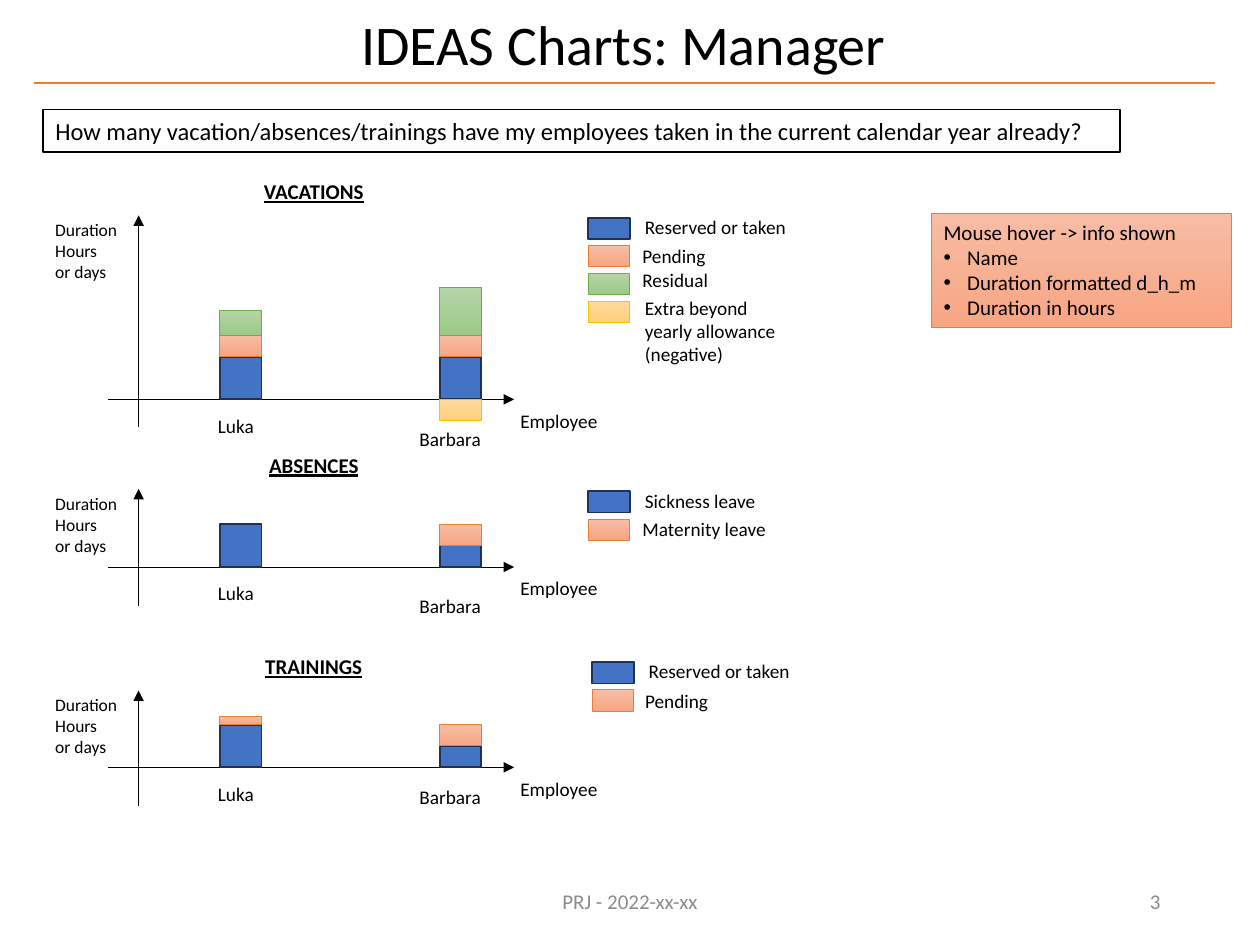
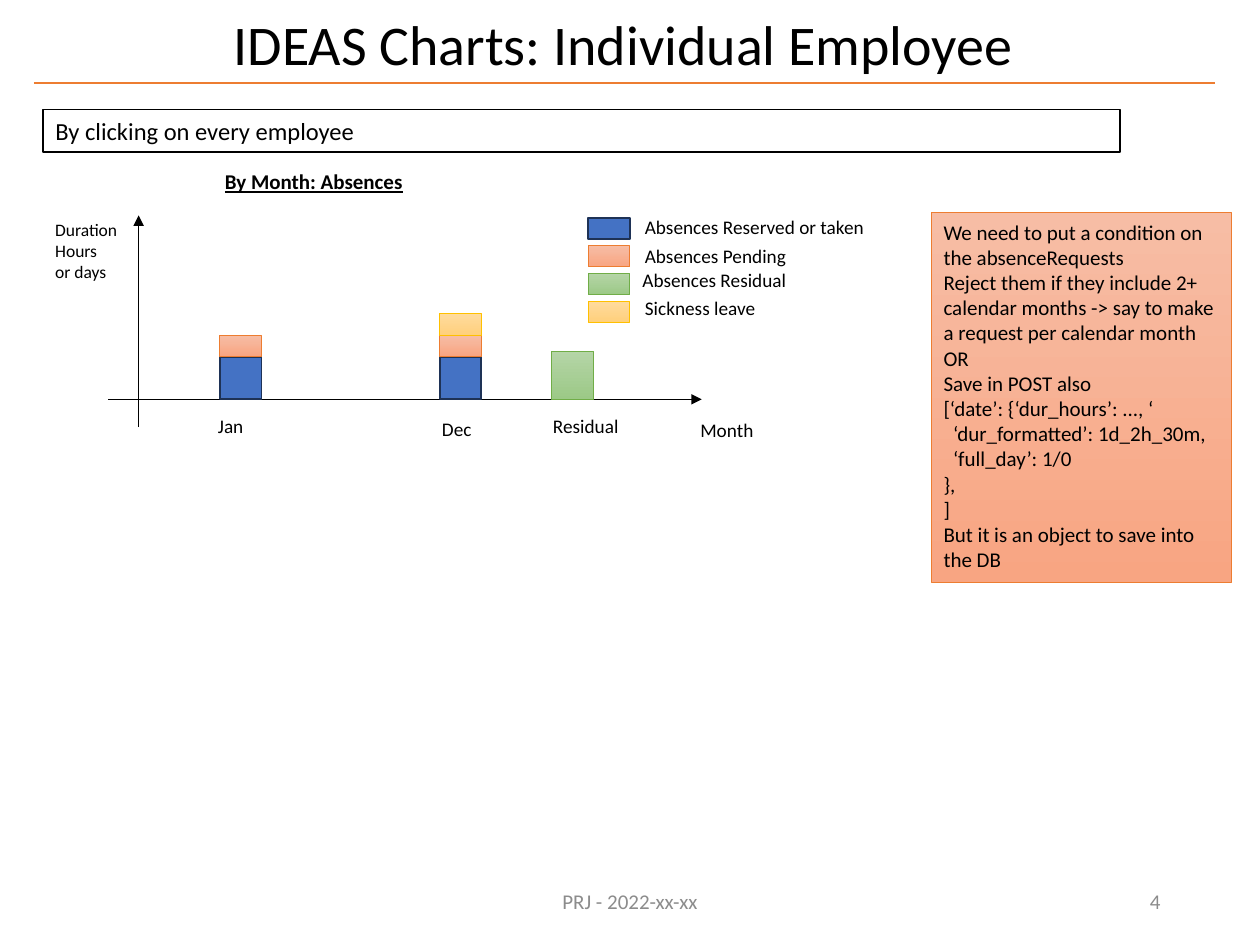
"""Build two slides that sketch absence charts for managers and employees."""
from lxml.etree import SubElement
from pptx import Presentation
from pptx.dml.color import RGBColor
from pptx.enum.shapes import MSO_CONNECTOR as Link, MSO_SHAPE as Form
from pptx.enum.text import MSO_ANCHOR as Anchor, MSO_AUTO_SIZE as Auto, PP_ALIGN as Align
from pptx.oxml.ns import qn
from pptx.util import Pt

FONT = "Calibri"
BLACK = RGBColor(0x00, 0x00, 0x00)
WHITE = RGBColor(0xFF, 0xFF, 0xFF)
GREY = RGBColor(0x8C, 0x8C, 0x8C)
ORANGE = RGBColor(0xED, 0x7D, 0x31)
BLUE = RGBColor(0x44, 0x72, 0xC4)
NAVY = RGBColor(0x1E, 0x32, 0x56)
PEACH = RGBColor(0xF7, 0xBD, 0xA5)
CORAL = RGBColor(0xF8, 0xA5, 0x82)
MINT = RGBColor(0xB5, 0xD5, 0xA7)
SAGE = RGBColor(0x9C, 0xC9, 0x87)
GREEN = RGBColor(0x70, 0xAD, 0x47)
CREAM = RGBColor(0xFF, 0xDB, 0x9E)
SAND = RGBColor(0xFF, 0xD0, 0x7C)
GOLD = RGBColor(0xFF, 0xC0, 0x00)

PLAIN = (WHITE, WHITE, BLACK, 1)
TAKEN = (BLUE, BLUE, NAVY, 1)
PENDING = (PEACH, CORAL, ORANGE, 0.5)
REST = (MINT, SAGE, GREEN, 0.5)
EXTRA = (CREAM, SAND, GOLD, 0.5)

AXIS_X = 79.2
BAR_W = 23.8
UNIT = 12.2
KEY_STEP = 15.8
LUKA_X, BARB_X, REST_X = 125.6, 251.3, 315.4
BULLET = (13.5, "•")
INDENT = (5.4, "")
FLAT = (0, "")


def block(page, left, top, wide, high, paint=None):
    """Add a painted rectangle, or a text box when there is no paint."""
    area = [Pt(n) for n in (left, top, wide, high)]
    if paint is None:
        return page.shapes.add_textbox(*area)
    first, last, edge, width = paint
    shape = page.shapes.add_shape(Form.RECTANGLE, *area)
    shape.shadow.inherit = False
    if first == last:
        shape.fill.solid()
        shape.fill.fore_color.rgb = first
    else:
        shape.fill.gradient()
        shape.fill.gradient_angle = 270
        for stop, tone in zip(shape.fill.gradient_stops, (first, last)):
            stop.color.rgb = tone
    shape.line.color.rgb = edge
    shape.line.width = Pt(width)
    return shape


def write(shape, lines, size, align=Align.LEFT, tone=BLACK, strong=False,
          middle=False, wrap=True, space=None):
    """Fill a shape with paragraphs given as (layout, text) pairs or strings."""
    frame = shape.text_frame
    frame.word_wrap = wrap
    frame.auto_size = Auto.NONE if middle else Auto.SHAPE_TO_FIT_TEXT
    frame.vertical_anchor = Anchor.MIDDLE if middle else Anchor.TOP
    for i, line in enumerate(lines):
        (shift, mark), text = (FLAT, line) if isinstance(line, str) else line
        para = frame.add_paragraph() if i else frame.paragraphs[0]
        para.alignment = align
        para.line_spacing = space
        if shift:
            props = para._p.get_or_add_pPr()
            props.set("marL", str(Pt(shift)))
            if mark:
                props.set("indent", str(-Pt(shift)))
                SubElement(props, qn("a:buFont"), typeface="Arial")
                SubElement(props, qn("a:buChar"), char=mark)
        run = para.add_run()
        run.text = text
        run.font.name = FONT
        run.font.size = Pt(size)
        run.font.color.rgb = tone
        if strong:
            run.font.bold = run.font.underline = True


VACATIONS = dict(
    name="VACATIONS", head=98.6, top=123.1, base=228.2, foot=244.1, end=293.8,
    axis=("Employee", 290.2, 2.2, 59),
    bars=[(LUKA_X, [(TAKEN, 2 * UNIT), (PENDING, UNIT), (REST, 14.4)]),
          (BARB_X, [(TAKEN, 2 * UNIT), (PENDING, UNIT), (REST, 27.4)]),
          (BARB_X, [(EXTRA, -UNIT)])],
    names=[("Luka", 117.4, 5, 35.3), ("Barbara", 232.6, 12.2, 50.4)],
    key=(336.2, 124.6),
    keys=[(TAKEN, ["Reserved or taken"], 25.2, -5, 96.5),
          (PENDING, ["Pending"], 23.8, -4.3, 51.1),
          (REST, ["Residual"], 23.8, -6.4, 52.6),
          (EXTRA, ["Extra beyond ", "yearly allowance", "(negative)"], 25.2, -6.4, 90)])
ABSENCES = dict(
    name="ABSENCES", head=254.9, top=279.4, base=324, foot=346.3, end=293.8,
    axis=("Employee", 290.2, 1.5, 59),
    bars=[(LUKA_X, [(TAKEN, 2 * UNIT)]),
          (BARB_X, [(TAKEN, UNIT), (PENDING, UNIT)])],
    names=[("Luka", 117.4, 4.5, 35.3), ("Barbara", 232.6, 12.2, 50.4)],
    key=(336.2, 280.8),
    keys=[(TAKEN, ["Sickness leave"], 25.2, -5, 78.5),
          (PENDING, ["Maternity leave"], 23.8, -4.3, 85.7)])
TRAININGS = dict(
    name="TRAININGS", head=370.1, top=394.6, base=438.5, foot=460.8, end=293.8,
    axis=("Employee", 290.2, 2.2, 59),
    bars=[(LUKA_X, [(TAKEN, 2 * UNIT), (PENDING, 4.5)]),
          (BARB_X, [(TAKEN, UNIT), (PENDING, UNIT)])],
    names=[("Luka", 117.4, 5, 35.3), ("Barbara", 232.6, 6.5, 50.4)],
    key=(338.4, 378.4),
    keys=[(TAKEN, ["Reserved or taken"], 25.2, -5, 96.5),
          (PENDING, ["Pending"], 23.1, -4, 51.1)])
MONTHS = dict(
    name="By Month: Absences", head=92.9, top=123.1, base=228.2, foot=244.1, end=401,
    axis=("Month", 393.1, 7.2, 45.4),
    bars=[(LUKA_X, [(TAKEN, 2 * UNIT), (PENDING, UNIT)]),
          (BARB_X, [(TAKEN, 2 * UNIT), (PENDING, UNIT), (EXTRA, UNIT)]),
          (REST_X, [(REST, 27.4)])],
    names=[("Jan", 117.4, 5, 29.5), ("Dec", 245.5, 6.5, 31.7), ("Residual", 308.9, 5, 52.6)],
    key=(336.2, 124.6),
    keys=[(TAKEN, ["Absences Reserved or taken"], 25.2, -5, 141.1),
          (PENDING, ["Absences Pending"], 25.2, -4.3, 95.8),
          (REST, ["Absences Residual"], 23.8, -6.4, 97.2),
          (EXTRA, ["Sickness leave"], 25.2, -6.4, 78.5)])

HOVER = ["Mouse hover -> info shown", (BULLET, "Name"),
         (BULLET, "Duration formatted d_h_m"), (BULLET, "Duration in hours")]
RULES = ["We need to put a condition on the absenceRequests",
         "Reject them if they include 2+ calendar months -> say to make "
         "a request per calendar month",
         "OR", "Save in POST also ", "[‘date’: {‘dur_hours’: ..., ‘",
         (INDENT, "‘dur_formatted’: 1d_2h_30m,"), (INDENT, "‘full_day’: 1/0"),
         "},", "]", "But it is an object to save into the DB"]
PAGES = [
    ("IDEAS Charts: Manager ", "3",
     "How many vacation/absences/trainings have my employees taken "
     "in the current calendar year already?",
     [VACATIONS, ABSENCES, TRAININGS], HOVER, 65.5),
    ("IDEAS Charts: Individual Employee ", "4", "By clicking on every employee",
     [MONTHS], RULES, 211),
]

deck = Presentation()
deck.slide_width, deck.slide_height = Pt(720), Pt(540)

for title, number, question, charts, note, tall in PAGES:
    page = deck.slides.add_slide(deck.slide_layouts[6])
    write(block(page, 49.7, 6.5, 620.6, 41), [title], 32, Align.CENTER,
          middle=True, space=0.9)
    write(block(page, 238.3, 500.4, 243.4, 28.8), ["PRJ - 2022-xx-xx"], 12,
          Align.CENTER, GREY, middle=True)
    write(block(page, 508.3, 500.4, 162, 28.8), [number], 12, Align.RIGHT,
          GREY, middle=True)
    write(block(page, 24.5, 62.6, 615.6, 24.5, PLAIN), [question], 14)
    write(block(page, 532.1, 121.7, 171.4, tall, PENDING), note, 12)

    lines = [(19.4, 47.5, 694.1, 47.5, ORANGE, 1.5)]
    for chart in charts:
        base = chart["base"]
        lines += [(AXIS_X, chart["foot"], AXIS_X, chart["top"], BLACK, 0.5),
                  (61.9, base, chart["end"], base, BLACK, 0.5)]
    for *ends, tone, width in lines:
        line = page.shapes.add_connector(Link.STRAIGHT, *[Pt(n) for n in ends])
        line.line.color.rgb = tone
        line.line.width = Pt(width)
        props = line.element.spPr
        if tone == BLACK:
            SubElement(props.find(qn("a:ln")), qn("a:tailEnd"), type="triangle")
        SubElement(props, qn("a:effectLst"))

    for chart in charts:
        base = chart["base"]
        write(block(page, 93.6, chart["head"], 171.4, 21.6), [chart["name"]], 12,
              Align.CENTER, strong=True)
        write(block(page, 24.5, chart["top"] - 1.4, 50.4, 43.9),
              ["Duration", "Hours ", "or days"], 10, wrap=False)
        for text, left, drop, wide in [chart["axis"]] + chart["names"]:
            write(block(page, left, base + drop, wide, 20.6), [text], 11, wrap=False)
        for left, stack in chart["bars"]:
            level = base
            for paint, high in stack:
                block(page, left, min(level, level - high), BAR_W, abs(high), paint)
                level -= high
        left, top = chart["key"]
        for i, (paint, text, right, drop, wide) in enumerate(chart["keys"]):
            y = top + i * KEY_STEP
            block(page, left, y, BAR_W, UNIT, paint)
            write(block(page, left + right, y + drop, wide, 7.2 + 13.4 * len(text)),
                  text, 11, wrap=False)

deck.save("out.pptx")
